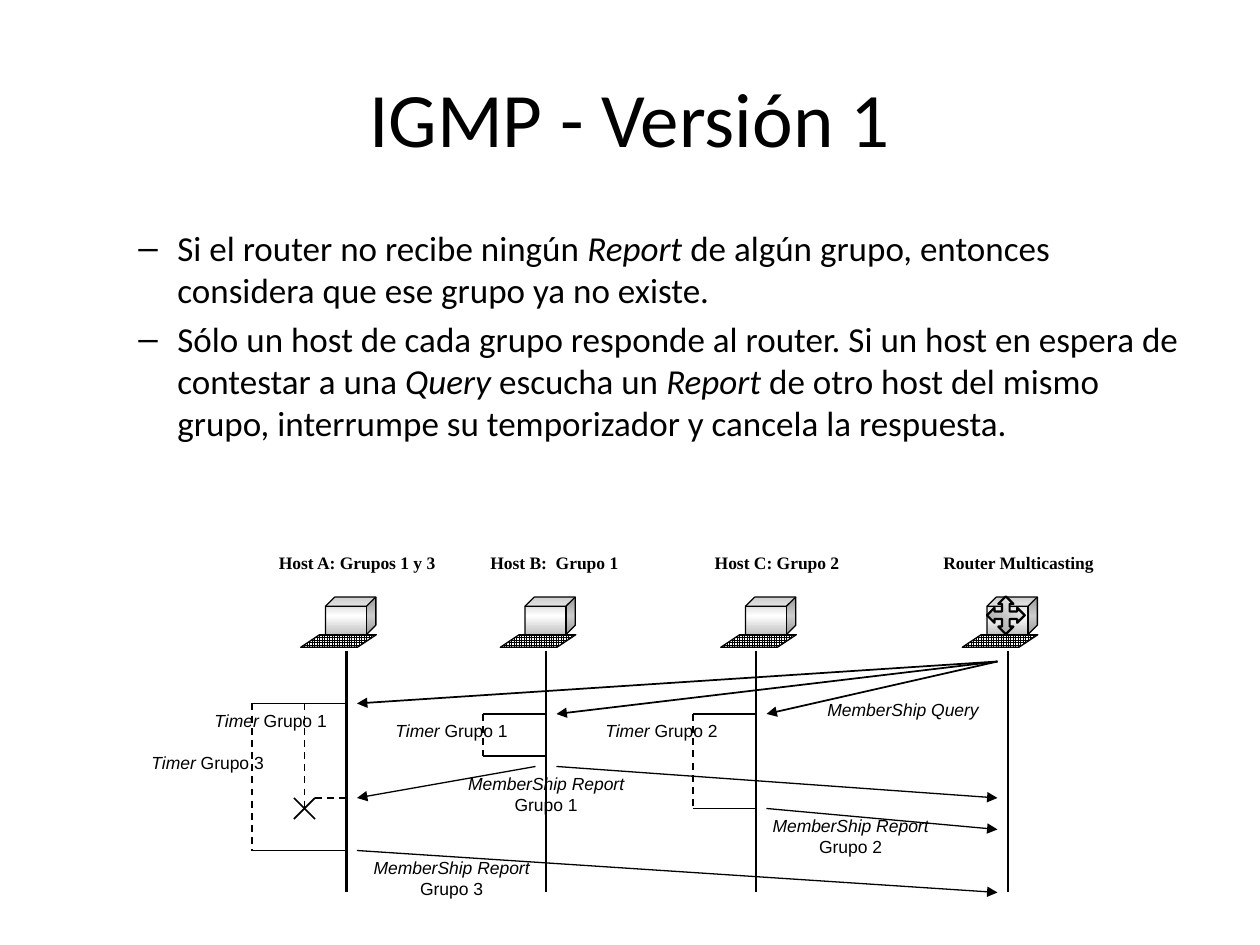
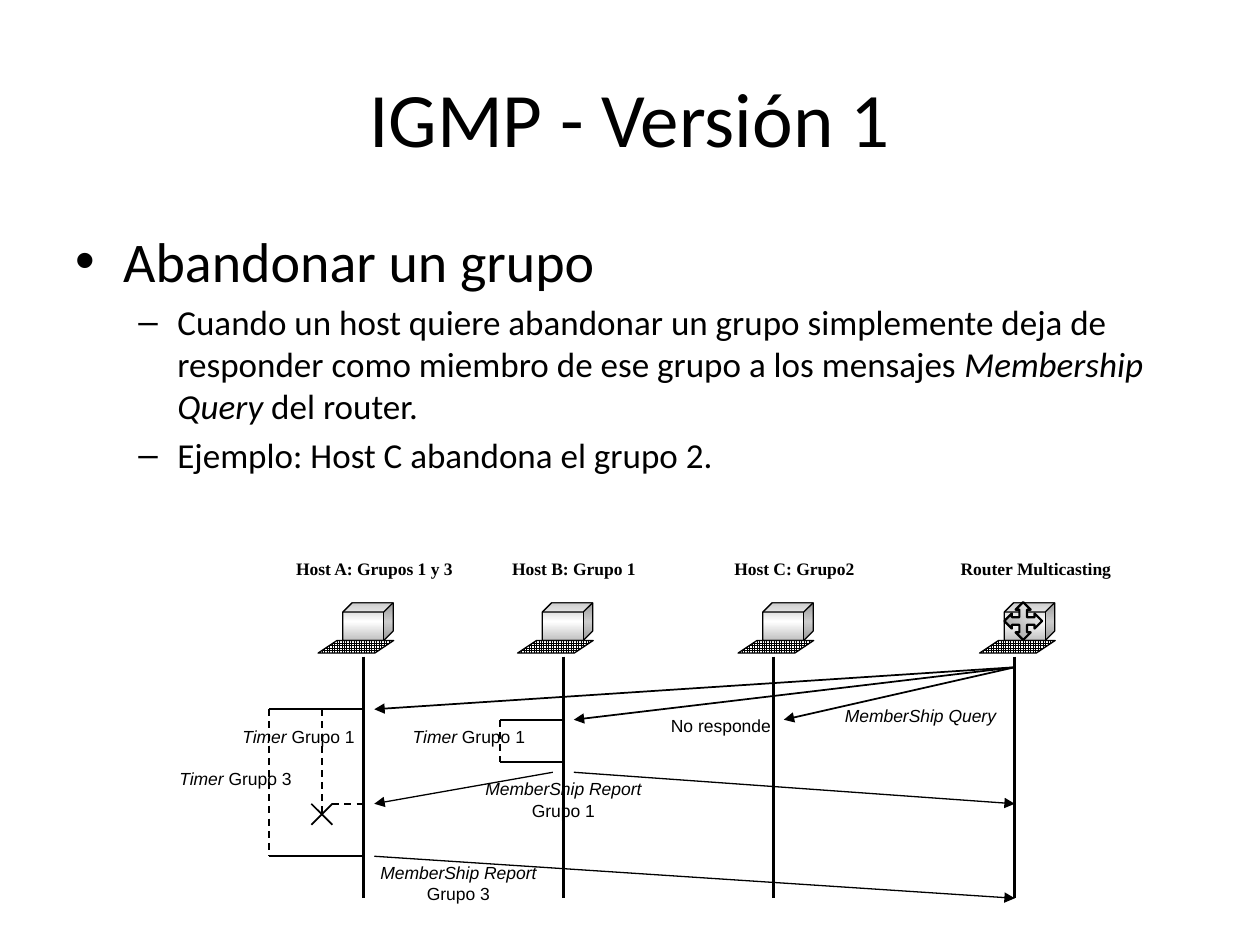
from copy import deepcopy
from dataclasses import dataclass

from lxml import etree
from pptx import Presentation
from pptx import util as u
from pptx.dml.color import RGBColor
from pptx.enum import dml, shapes, text
from pptx.oxml.ns import qn


@dataclass(frozen=True)
class Theme:
    black: str = "000000"
    white: str = "FFFFFF"
    silver: str = "C0C0C0"
    gray: str = "969696"
    heading_font: str = "Calibri"
    label_font: str = "Arial"
    host_font: str = "Times New Roman"
    title: int = 44
    bullet: int = 32
    dash: int = 20
    small: int = 10
    thin: float = 0.75
    medium: float = 1
    arrow: float = 1.25
    thick: float = 1.5


T = Theme()
CELL = 1 / 12          # inches; the slide is 120 columns by 90 rows
COLS, ROWS = 120, 90


def cells(n):
    return u.Inches(n * CELL)


def rgb(value):
    return RGBColor.from_string(value)


def write(p, content, font=T.label_font, size=T.small, bold=False,
          align=text.PP_ALIGN.CENTER):
    """Fill a paragraph; parts between asterisks are italic."""
    p.alignment = align
    for i, part in enumerate(content.split("*")):
        if part:
            r = p.add_run()
            r.text = part
            r.font.name, r.font.size = font, u.Pt(size)
            r.font.bold, r.font.italic = bold, i % 2 == 1
            r.font.color.rgb = rgb(T.black)


class Deck:
    BULLETS = {0: ("•", 0.38, 0.38, T.bullet), 1: ("–", 0.81, 0.31, T.dash)}

    def __init__(self):
        self.prs = Presentation()
        self.prs.slide_width, self.prs.slide_height = cells(COLS), cells(ROWS)

    def new_slide(self, title, origin):
        """Start a slide; the diagram is measured from the origin cell."""
        self.s = self.prs.slides.add_slide(self.prs.slide_layouts[5])
        self.ox, self.oy = origin
        sp = self.s.shapes.title
        sp.left, sp.top, sp.width, sp.height = map(cells, (6, 3.6, 108, 15))
        sp.text_frame.vertical_anchor = text.MSO_ANCHOR.MIDDLE
        write(sp.text_frame.paragraphs[0], title, font=T.heading_font, size=T.title)

    def body(self, items):
        tf = self.s.shapes.add_textbox(*map(cells, (6, 21, 108, 59.4))).text_frame
        tf.word_wrap = True
        for i, (level, content) in enumerate(items):
            p = tf.add_paragraph() if i else tf.paragraphs[0]
            char, margin, hang, size = self.BULLETS[level]
            p.level = level
            p.space_before = u.Pt(size * 0.2)
            write(p, content, font=T.heading_font, size=size, align=text.PP_ALIGN.LEFT)
            pPr = p._p.get_or_add_pPr()
            pPr.set("marL", str(u.Inches(margin)))
            pPr.set("indent", str(-u.Inches(hang)))
            etree.SubElement(pPr, qn("a:buFont")).set("typeface", T.label_font)
            etree.SubElement(pPr, qn("a:buChar")).set("char", char)

    def start_diagram(self):
        self.art = self.s.shapes.add_group_shape().shapes

    def at(self, x, y):
        return cells(self.ox + x), cells(self.oy + y)

    def shape(self, kind, x, y, w, h, adj=None):
        sp = self.art.add_shape(kind, *self.at(x, y), cells(w), cells(h))
        if adj is not None:
            sp.adjustments[0] = adj
        return self.outline(sp, T.thin)

    def outline(self, sp, width):
        sp.shadow.inherit = False
        sp.line.color.rgb = rgb(T.black)
        sp.line.width = u.Pt(width)
        return sp

    def gradient(self, sp, colors, angle):
        sp.fill.gradient()
        sp.fill.gradient_angle = angle
        first = sp.element.xpath(".//a:gs")[0]
        for _ in colors[2:]:
            first.addnext(deepcopy(first))
        for i, (stop, color) in enumerate(zip(sp.fill.gradient_stops, colors)):
            stop.position = i / (len(colors) - 1)
            stop.color.rgb = rgb(color)

    def line(self, x1, y1, x2, y2, width=T.medium, dashed=False, arrow=False):
        c = self.art.add_connector(shapes.MSO_CONNECTOR.STRAIGHT,
                                   *self.at(x1, y1), *self.at(x2, y2))
        c.line.color.rgb = rgb(T.black)
        c.line.width = u.Pt(width)
        if dashed:
            c.line.dash_style = dml.MSO_LINE.DASH
        if arrow:
            etree.SubElement(c.line._get_or_add_ln(), qn("a:tailEnd")).set("type", "triangle")
        etree.SubElement(c.element.spPr, qn("a:effectLst"))

    def label(self, content, x, y, w=20, h=3.2):
        tf = self.art.add_textbox(*self.at(x, y), cells(w), cells(h)).text_frame
        tf.word_wrap = True
        tf.auto_size = text.MSO_AUTO_SIZE.SHAPE_TO_FIT_TEXT
        write(tf.paragraphs[0], content)

    def report(self, group, x, y):
        self.label(f"*MemberShip Report* Grupo {group}", x, y, h=5.2)

    def computer(self, name, x):
        """Monitor, keyboard and name, with the monitor's left side at x."""
        y = -5.15
        cube = self.shape(shapes.MSO_SHAPE.CUBE, x, y, 4.8, 3.6, 0.25)
        self.gradient(cube, (T.silver, T.white, T.silver), 270)
        keys = self.shape(shapes.MSO_SHAPE.PARALLELOGRAM, x - 2.35, y + 3.6, 7.2, 1.2, 1.5)
        keys.fill.patterned()
        keys.fill.pattern = dml.MSO_PATTERN.SMALL_GRID
        keys.fill.fore_color.rgb, keys.fill.back_color.rgb = rgb(T.black), rgb(T.white)
        box = self.shape(shapes.MSO_SHAPE.RECTANGLE, x - 6, -10, 18, 4.8)
        box.fill.solid()
        box.fill.fore_color.rgb = rgb(T.white)
        box.line.fill.background()
        box.text_frame.word_wrap = True
        box.text_frame.vertical_anchor = text.MSO_ANCHOR.TOP
        write(box.text_frame.paragraphs[0], name, font=T.host_font, bold=True)

    def router_sign(self, x):
        """Four-way arrow: one arm, turned by quarter turns."""
        arm = [(0, -5), (-2, -3), (-1, -3), (-1, -1), (-3, -1), (-3, -2)]
        points = []
        for _ in range(4):
            points += arm
            arm = [(b, -a) for a, b in arm]
        step = 0.36
        points = [self.at(x + 1.8 + a * step, -5.2 + 1.8 + b * step) for a, b in points]
        pen = self.art.build_freeform(*points[0])
        pen.add_line_segments(points[1:], close=True)
        sp = self.outline(pen.convert_to_shape(), T.arrow)
        self.gradient(sp, (T.gray, T.white), 45)

    def timer(self, x, depth, top, bottom):
        """Bracket to the left of a lifeline."""
        self.line(x - depth, top, x, top)
        self.line(x - depth, top, x - depth, bottom, dashed=True)
        self.line(x - depth, bottom, x, bottom)

    def cancelled_timer(self, top, stop):
        """Inner timer of host A, ended by a cross."""
        self.line(-4, top, -4, stop + 1, dashed=True)
        self.line(-5, stop, -3, stop + 2)
        self.line(-5, stop + 2, -3, stop)
        self.line(-3, stop, 0, stop, dashed=True)

    def exchange(self, names, router):
        """What both sequence diagrams share."""
        self.start_diagram()
        for name, x in zip(names, (-2, 17, 38, 61)):
            self.computer(name, x)
        self.router_sign(61)
        for x in (A, B, C, router):
            self.line(x, 0, x, END, width=T.thick)
        # Query to every host
        for x, y in ((A, 5), (B, 6), (C, 6)):
            self.line(EDGE, 1, x + 1, y, arrow=True)
        # Timers and reports of hosts A and B
        self.timer(A, 9, 5, 19)
        self.cancelled_timer(5, 14)
        self.timer(B, 6, 6, 10)
        for start, x, y in (((B + 1, 11), EDGE, 14), ((B - 1, 11), A + 1, 14),
                            ((A + 1, 19), EDGE, END)):
            self.line(*start, x, y, width=T.thin, arrow=True)
        self.label("*MemberShip Query*", 43, 4)
        self.label("*Timer *Grupo 1", 0, 6)
        self.report(1, 9, 11)


# Lifelines, arrow edge at the router and last row of the diagram
A, B, C, EDGE, END = 0, 19, 39, 62, 23
TITLE = "IGMP - Versión 1"
HOST_A, ROUTER = "Host A: Grupos 1 y 3", "Router Multicasting"
deck = Deck()

# Slide 1: one report per group
deck.new_slide(TITLE, (33, 62))
deck.body([
    (1, "Si el router no recibe ningún *Report *de algún grupo, entonces "
        "considera que ese grupo ya no existe. "),
    (1, "Sólo un host de cada grupo responde al router. Si un host en espera de "
        "contestar a una *Query* escucha un *Report* de otro host del mismo grupo, "
        "interrumpe su temporizador y cancela la respuesta."),
])
deck.exchange((HOST_A, "Host B:  Grupo 1 ", "Host C: Grupo 2", ROUTER), router=63)
deck.timer(C, 6, 6, 15)
deck.line(C + 1, 15, EDGE, 17, width=T.thin, arrow=True)
deck.label("*Timer *Grupo 2", 20, 6)
deck.label("*Timer *Grupo 3 ", -21, 9, w=16)
deck.label("*Timer *Grupo 1 ", -15, 5, w=16)
deck.report(3, 0, 19)
deck.report(2, 38, 15)

# Slide 2: host C leaves its group
deck.new_slide(TITLE, (34.65, 62.55))
deck.body([
    (0, "Abandonar un grupo"),
    (1, "Cuando un host quiere abandonar un grupo simplemente deja de responder como "
        "miembro de ese grupo a los mensajes *Membership Query* del router."),
    (1, "Ejemplo: Host C abandona el grupo 2."),
])
deck.exchange((HOST_A, "Host B: Grupo 1", "Host C: Grupo2", ROUTER), router=EDGE)
deck.label("No responde", 24, 5)
deck.label("*Timer *Grupo 3 ", -20, 10, w=16)
deck.label("*Timer *Grupo 1 ", -14, 6, w=16)
deck.report(3, -1, 19)

deck.prs.save("out.pptx")
